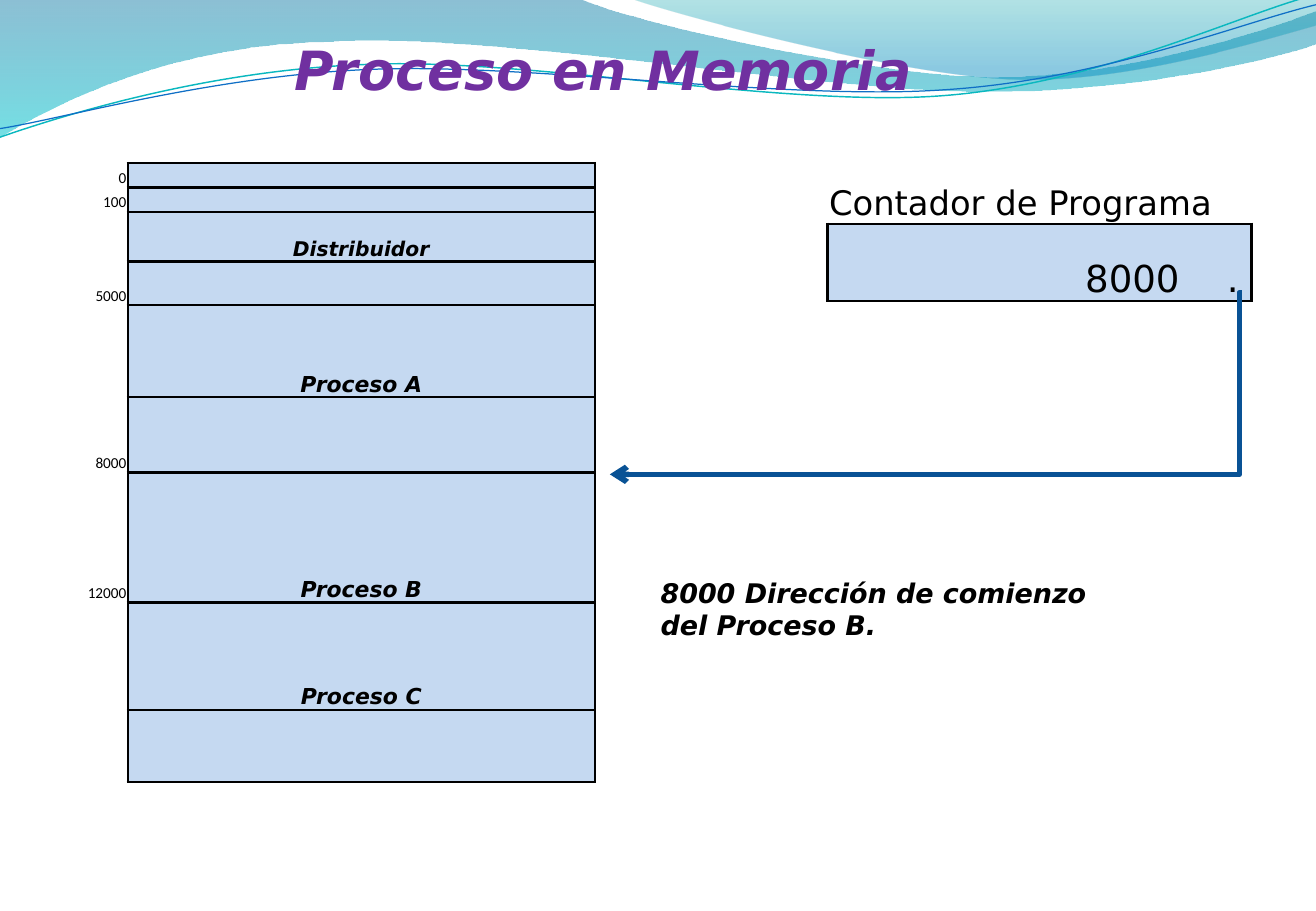
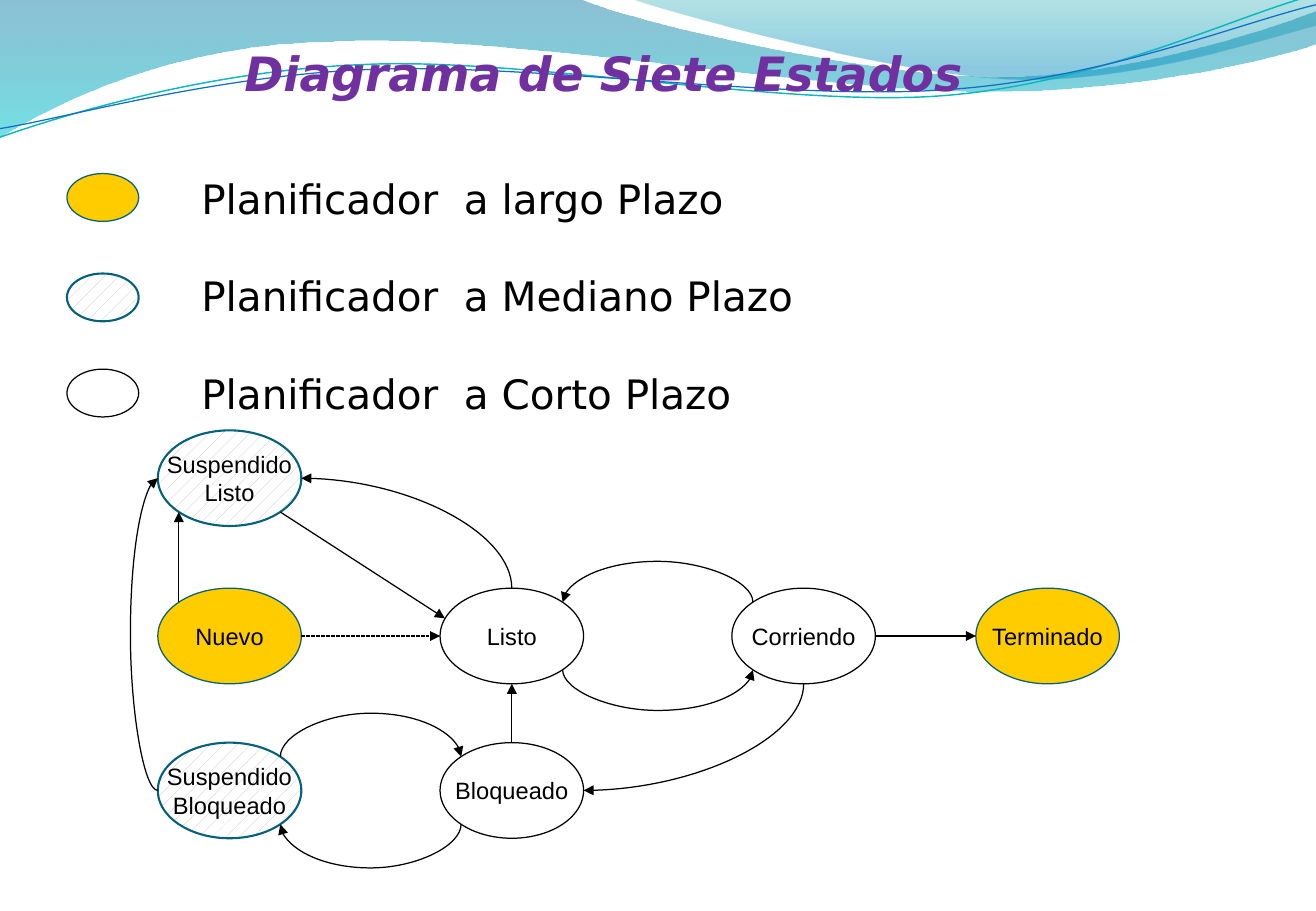
import math
import lxml.etree
import pptx
import pptx.dml.color
import pptx.enum.dml
import pptx.enum.shapes
import pptx.enum.text
import pptx.oxml.ns
import pptx.util

Cm, Pt = pptx.util.Cm, pptx.util.Pt
qn = pptx.oxml.ns.qn
ALIGN = pptx.enum.text.PP_ALIGN
ANCHOR = pptx.enum.text.MSO_ANCHOR
SHAPE = pptx.enum.shapes.MSO_SHAPE
LINK = pptx.enum.shapes.MSO_CONNECTOR

# Shared look
WIDE, TALL = 27.51, 19.05
SANS = "DejaVu Sans"
BLACK, WHITE, PURPLE, PALE = "000000", "FFFFFF", "7030A0", "C5D9F1"
TEAL, GOLD, GREY, NAVY = "04617B", "FFCC00", "C0C0C0", "095295"
NO_GRID = "{2D5ABB26-0587-4C30-8999-92F81FD0307C}"
THIN = 1588  # EMU, depth of a loop whose ends are level

# Band paths in cm: two numbers are a point, six are a Bezier curve
WAVES = [
    ([(0, 0), (12.12, -0.03), (13.08, 0.43, 18.26, 1.6, 20.88, 1.6),
      (23.47, 1.6, 26.37, 0.66, 27.51, 0.23), (27.53, 0.91),
      (27.05, 1.12, 23.93, 1.93, 20.52, 1.91),
      (17.12, 1.91, 10.52, 0.71, 7.09, 0.86),
      (3.56, 0.91, 1.27, 2.11, -0.03, 2.87)],
     [(0, "0074A1", 45), (1, "00C6CF", 55)]),
    ([(13.18, -0.03), (14.02, 0.28, 18.77, 1.57, 21.16, 1.65),
      (23.55, 1.75, 26.47, 0.81, 27.51, 0.53), (27.51, 0)],
     [(0, "00A1A9", 30), (0.8, "008BBF", 45)]),
]
STROKES = [
    ([(0, 2.87), (1.32, 2.41, 4.34, 1.47, 7.62, 1.35),
      (10.87, 1.19, 16.31, 2.24, 19.61, 2.01),
      (22.91, 1.78, 25.83, 0.33, 27.46, -0.1)], "0AB8BF", 0.85),
    ([(0, 2.69), (1.3, 2.49, 4.5, 1.57, 7.8, 1.45),
      (11.07, 1.32, 16.43, 2.11, 19.71, 1.88),
      (23.01, 1.68, 25.91, 0.48, 27.51, 0.1)], "0F6FC6", 0.75),
]

# Memory map: row height, address, label, label size
MAP_COLS = [1.11, 9.76, 1.11]
MAP_ROWS = [
    (0.51, "0", "", 0), (0.51, "100", "", 0), (1.04, "", "Distribuidor", 12),
    (0.91, "5000", "", 0), (1.93, "", "Proceso A", 13), (1.57, "8000", "", 0),
    (2.72, "12000", "Proceso B", 13), (2.24, "", "Proceso C", 13),
    (1.52, "", "", 0), (0.36, "", "", 0),
]
NOTE = "8000 Dirección de comienzo del Proceso B."

# State diagram: fill, line colour, line width of each planner
LOOKS = {"long": (GOLD, TEAL, 0.75), "mid": (None, TEAL, 1.25),
         "short": (WHITE, BLACK, 0.75)}
LEGEND = [("long", 3.63, "Planificador  a largo Plazo"),
          ("mid", 5.72, "Planificador  a Mediano Plazo"),
          ("short", 7.72, "Planificador  a Corto Plazo")]
COLS, ROWS, NODE = (3.3, 9.2, 15.3, 20.4), (9, 12.3, 15.53), (3, 2)
STATES = {  # key: column, row, planner, lines
    "run": (2, 1, "short", ["Corriendo"]),
    "ready": (1, 1, "short", ["Listo"]),
    "block": (1, 2, "short", ["Bloqueado"]),
    "sblock": (0, 2, "mid", ["Suspendido", "Bloqueado"]),
    "sready": (0, 0, "mid", ["Suspendido", "Listo"]),
    "new": (0, 1, "long", ["Nuevo"]),
    "done": (3, 1, "long", ["Terminado"]),
}
SITES = ["N", "NW", "W", "SW", "S", "SE", "E", "NE"]
MOVES = [  # from, site, to, site, kind, bend in cm
    ("new", "E", "ready", "W", "dash", 0),
    ("ready", "SE", "run", "SW", "loop", 0.94),
    ("run", "E", "done", "W", "line", 0),
    ("run", "NW", "ready", "NE", "loop", -0.94),
    ("run", "S", "block", "E", "turn", 0),
    ("block", "N", "ready", "S", "line", 0),
    ("new", "NW", "sready", "SW", "line", 0),
    ("sblock", "W", "sready", "W", "side", -0.63),
    ("block", "SW", "sblock", "SE", "loop", 1.01),
    ("sblock", "NE", "block", "NW", "loop", -1),
    ("ready", "N", "sready", "E", "turn", 0),
]
KINDS = {"line": "line", "dash": "line", "loop": "curvedConnector3",
         "side": "curvedConnector3", "turn": "curvedConnector2",
         "bent": "bentConnector3"}


def hue(code):
    return pptx.dml.color.RGBColor.from_string(code)


def sub(node, tag, **attrs):
    item = lxml.etree.SubElement(node, qn(tag))
    for key, val in attrs.items():
        item.set(key, str(val))
    return item


def write(para, text, size, font=SANS, color=BLACK, bold=False, align=None):
    para.alignment = align
    run = para.add_run()
    run.text = text
    run.font.size, run.font.name = Pt(size), font
    run.font.bold = run.font.italic = bold
    run.font.color.rgb = hue(color)
    return run


def box(slide, *place):
    frame = slide.shapes.add_textbox(*map(Cm, place)).text_frame
    frame.word_wrap = True
    return frame


# Bands and title
def outline(slide, path, close):
    pts = [(Cm(part[i]), Cm(part[i + 1]))
           for part in path for i in range(0, len(part), 2)]
    pen = slide.shapes.build_freeform(*pts[0], scale=1.0)
    pen.add_line_segments(pts[1:], close=close)
    shape = pen.convert_to_shape()
    shape.shadow.inherit = False
    # Join each run of three points into one curve
    legs = iter(list(shape.element.spPr.iter(qn("a:lnTo"))))
    for part in path[1:]:
        leg = next(legs)
        if len(part) == 6:
            curve = lxml.etree.Element(qn("a:cubicBezTo"))
            leg.addprevious(curve)
            for item in (leg, next(legs), next(legs)):
                curve.append(item[0])
                item.getparent().remove(item)
    return shape


def bands(slide, layout):
    parts = []
    for path, stops in WAVES:
        wave = outline(slide, path, True)
        wave.line.fill.background()
        wave.fill.gradient()
        wave.fill.gradient_angle = 270
        for stop, (pos, color, _) in zip(wave.fill.gradient_stops, stops):
            stop.position, stop.color.rgb = pos, hue(color)
        tints = wave.element.spPr.iter(qn("a:srgbClr"))
        for tint, (_, _, alpha) in zip(tints, stops):
            sub(tint, "a:alpha", val=alpha * 1000)
        parts.append(wave)
    for path, color, width in STROKES:
        line = outline(slide, path, False)
        line.fill.background()
        line.line.color.rgb, line.line.width = hue(color), Pt(width)
        parts.append(line)
    for spare in list(layout.placeholders):
        layout.shapes.element.remove(spare.element)
    for part in parts:  # the layout carries them for every slide
        layout.shapes.element.append(part.element)


def title(slide, text, size):
    frame = box(slide, 1.37, 0.75, 22.48, 1.37)
    frame.margin_left = frame.margin_right = frame.margin_bottom = 0
    frame.margin_top = Cm(0.13)
    frame.vertical_anchor = ANCHOR.BOTTOM
    write(frame.paragraphs[0], text, size, SANS, PURPLE, True, ALIGN.CENTER)


# Tables
def grid(slide, left, top, cols, rows):
    frame = slide.shapes.add_table(len(rows), len(cols), Cm(left), Cm(top),
                                   Cm(sum(cols)), Cm(sum(rows)))
    for mark in frame.element.iter(qn("a:tableStyleId")):
        mark.text = NO_GRID
    table = frame.table
    table.first_row = table.horz_banding = False
    for col, width in zip(table.columns, cols):
        col.width = Cm(width)
    for row, height in zip(table.rows, rows):
        row.height = Cm(height)
    for cell in table.iter_cells():
        cell.margin_left = cell.margin_right = cell.margin_top = Cm(0.03)
        cell.margin_bottom = 0
        cell.vertical_anchor = ANCHOR.BOTTOM
        cell.fill.background()
        sub(cell.text_frame.paragraphs[0]._p, "a:endParaRPr", sz=400)
    return table


def frame_cell(cell):
    cell.fill.solid()
    cell.fill.fore_color.rgb = hue(PALE)
    props = cell._tc.get_or_add_tcPr()
    for i, side in enumerate("LRTB"):
        edge = sub(props, "a:ln" + side, w=Pt(1.5))
        sub(sub(edge, "a:solidFill"), "a:srgbClr", val=BLACK)
        props.insert(i, edge)


# Arrows
def arrow(slide, start, end, kind, color, width, bend=0, head="triangle"):
    """Draw from start to end (EMU); bend is how far the middle leg lies off."""
    (x1, y1), (x2, y2) = start, end
    conn = slide.shapes.add_connector(LINK.STRAIGHT, x1, y1, x2, y2)
    conn.line.color.rgb, conn.line.width = hue(color), Pt(width)
    if kind == "dash":
        conn.line.dash_style = pptx.enum.dml.MSO_LINE.SQUARE_DOT
    props = conn.element.spPr
    sub(props.find(qn("a:ln")), "a:tailEnd", type=head)
    sub(props, "a:effectLst")
    if KINDS[kind] == "line":
        return conn
    # Loops and turns leave upright, so their frame is turned by 90 degrees
    dx, dy = x2 - x1, y2 - y1
    turned = kind in ("loop", "turn")
    run, rise = (dy, -dx) if turned else (dx, dy)
    wide, tall = max(abs(run), THIN), abs(rise)
    conn.left, conn.top = (x1 + x2 - wide) // 2, (y1 + y2 - tall) // 2
    conn.width, conn.height = wide, tall
    form = props.find(qn("a:xfrm"))
    for key, on in (("flipH", run < 0), ("flipV", rise < 0)):
        form.set(key, str(int(on)))
    if turned:
        form.set("rot", str(90 * 60000))
    shape = props.find(qn("a:prstGeom"))
    shape.set("prst", KINDS[kind])
    if bend:
        ratio = bend / wide * (-1 if run < 0 else 1)
        sub(shape.find(qn("a:avLst")), "a:gd", name="adj1",
            fmla=f"val {round(ratio * 100000)}")
    return conn


def glue(conn, first, site, last, goal):
    props = conn.element.find(".//" + qn("p:cNvCxnSpPr"))
    for tag, node, name in (("a:stCxn", first, site), ("a:endCxn", last, goal)):
        sub(props, tag, id=node.shape_id, idx=SITES.index(name))


def site_at(node, name):
    turn = math.radians(90 + 45 * SITES.index(name))
    return (round(node.left + node.width / 2 * (1 + math.cos(turn))),
            round(node.top + node.height / 2 * (1 - math.sin(turn))))


def oval(slide, look, *place):
    fill, color, width = LOOKS[look]
    node = slide.shapes.add_shape(SHAPE.OVAL, *map(Cm, place))
    node.shadow.inherit = False
    node.line.color.rgb, node.line.width = hue(color), Pt(width)
    if fill:
        node.fill.solid()
        node.fill.fore_color.rgb = hue(fill)
    else:
        node.fill.patterned()
        node.fill.pattern = pptx.enum.dml.MSO_PATTERN.PERCENT_10
        node.fill.fore_color.rgb, node.fill.back_color.rgb = hue(GREY), hue(WHITE)
    return node


def memory(slide):
    title(slide, "Proceso en Memoria", 32)
    table = grid(slide, 1.56, 3.41, MAP_COLS, [row[0] for row in MAP_ROWS])
    for i, (_, place, label, size) in enumerate(MAP_ROWS):
        left, mid = table.cell(i, 0), table.cell(i, 1)
        if place:
            write(left.text_frame.paragraphs[0], place, 9, "Calibri",
                  align=ALIGN.RIGHT)
        if label:
            write(mid.text_frame.paragraphs[0], label, size, bold=True,
                  align=ALIGN.CENTER)
        if i < len(MAP_ROWS) - 1:
            frame_cell(mid)
    # Program counter
    count = grid(slide, 17.3, 3.73, [8.86], [0.95, 1.61])
    head, value = count.cell(0, 0), count.cell(1, 0)
    write(head.text_frame.paragraphs[0], "Contador de Programa", 20)
    frame_cell(value)
    value.margin_right = Cm(0.27)
    para = value.text_frame.paragraphs[0]
    for text, gap in (("8000", 0), (" ", 21), (".", 0)):
        run = write(para, text, 22, align=ALIGN.RIGHT)
        if gap:
            run.font._element.set("spc", str(gap * 100))
    arrow(slide, (Cm(25.96), Cm(6.12)), (Cm(12.75), Cm(9.92)), "bent", NAVY,
          3.25, Cm(-0.05), "arrow")
    write(box(slide, 13.56, 11.93, 10.01, 2.31).paragraphs[0], NOTE, 16, bold=True)


def states(slide):
    title(slide, "Diagrama de Siete Estados", 28)
    nodes = {}
    for key, (col, row, look, lines) in STATES.items():
        node = nodes[key] = oval(slide, look, COLS[col], ROWS[row], *NODE)
        frame = node.text_frame
        frame.word_wrap = False
        frame.vertical_anchor = ANCHOR.MIDDLE
        for i, line in enumerate(lines):
            para = frame.add_paragraph() if i else frame.paragraphs[0]
            write(para, line, 14, "Arial", align=ALIGN.CENTER)
    for first, site, last, goal, kind, bend in MOVES:
        a, b = nodes[first], nodes[last]
        conn = arrow(slide, site_at(a, site), site_at(b, goal), kind, BLACK,
                     0.75, Cm(bend))
        glue(conn, a, site, b, goal)
    arrow(slide, site_at(nodes["sready"], "SE"), (Cm(9.3), Cm(12.93)), "line",
          BLACK, 0.75)
    # Legend
    frame = box(slide, 3.96, 3.51, 16.41, 8.46)
    for i, (look, top, text) in enumerate(LEGEND):
        oval(slide, look, 1.4, top, 1.5, 1)
        para = frame.add_paragraph() if i else frame.paragraphs[0]
        para.space_before = Pt(29 if i else 0)
        write(para, text, 24)


def main():
    deck = pptx.Presentation()
    deck.slide_width, deck.slide_height = Cm(WIDE), Cm(TALL)
    blank = deck.slide_layouts[6]
    for i, draw in enumerate((memory, states)):
        slide = deck.slides.add_slide(blank)
        if i == 0:
            bands(slide, blank)
        draw(slide)
    deck.save("out.pptx")


if __name__ == "__main__":
    main()
